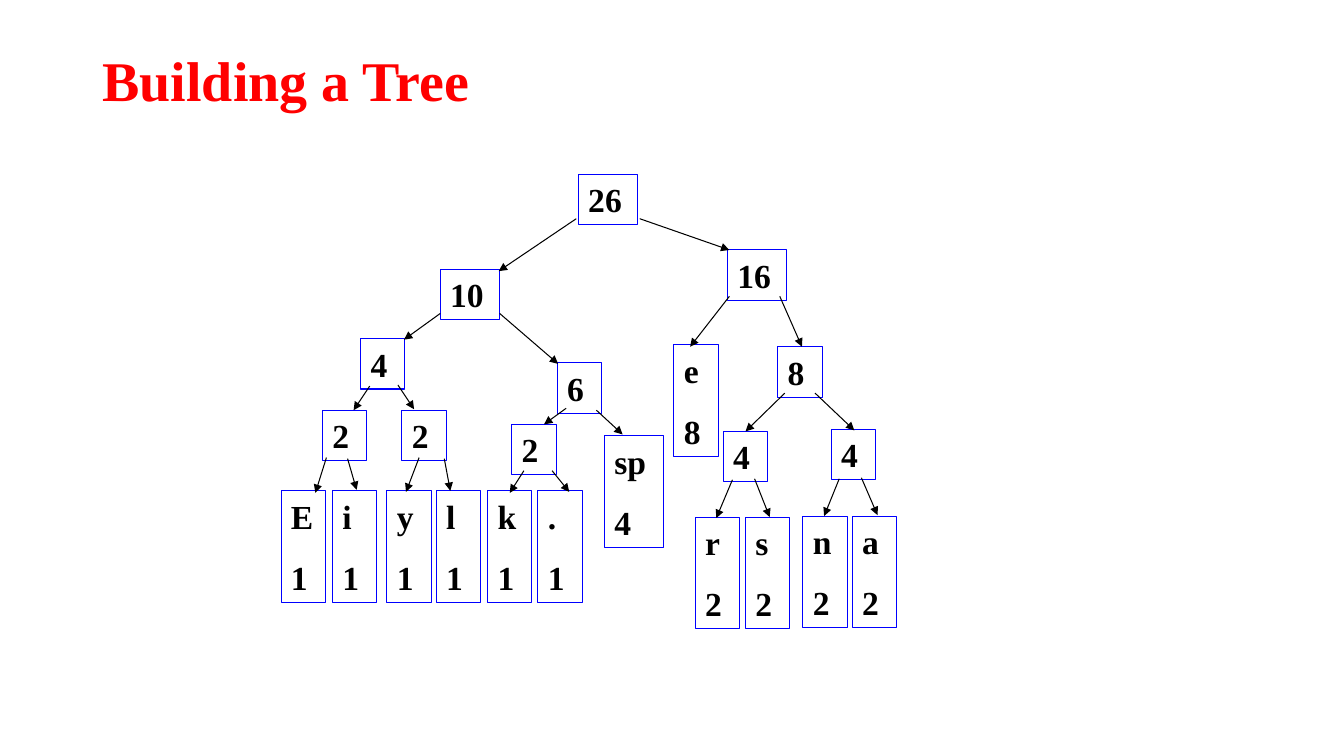
from lxml import etree
from pptx import Presentation
from pptx.dml.color import RGBColor
from pptx.enum.shapes import MSO_CONNECTOR, MSO_SHAPE
from pptx.enum.text import MSO_ANCHOR, MSO_AUTO_SIZE, PP_ALIGN
from pptx.oxml.ns import qn
from pptx.util import Pt

RECTANGLE, STRAIGHT = MSO_SHAPE.RECTANGLE, MSO_CONNECTOR.STRAIGHT
TOP, MIDDLE = MSO_ANCHOR.TOP, MSO_ANCHOR.MIDDLE
FIT_SHAPE, LEFT = MSO_AUTO_SIZE.SHAPE_TO_FIT_TEXT, PP_ALIGN.LEFT

TITLE = "Building a Tree"
# label, (left, top), arrow from parent: (start, end)
INNER_NODES = [
    ("26", (574, 173), None),
    ("10", (437, 267), ((572, 217), (495, 269))),
    ("16", (722, 248), ((635, 217), (724, 248))),
    ("4", (358, 336), ((437, 311), (401, 337))),
    ("6", (553, 360), ((496, 311), (554, 361))),
    ("8", (772, 344), ((774, 294), (796, 344))),
    ("2", (320, 407), ((367, 383), (351, 407))),
    ("2", (399, 407), ((395, 382), (411, 406))),
    ("2", (508, 421), ((562, 405), (540, 421))),
    ("4", (718, 428), ((779, 390), (740, 428))),
    ("4", (825, 426), ((809, 390), (848, 427))),
]
LEAVES = [
    ("E\n1", (279, 487), ((324, 454), (313, 489))),
    ("i\n1", (330, 487), ((345, 455), (354, 486))),
    ("y\n1", (384, 487), ((416, 454), (403, 488))),
    ("l\n1", (433, 487), ((441, 455), (447, 487))),
    ("k\n1", (484, 487), ((520, 467), (506, 489))),
    (".\n1", (534, 487), ((548, 467), (565, 488))),
    ("sp\n4", (600, 432), ((592, 407), (618, 431))),
    ("e\n8", (669, 342), ((724, 294), (685, 344))),
    ("r\n2", (690, 513), ((727, 476), (711, 514))),
    ("s\n2", (740, 513), ((749, 475), (764, 513))),
    ("n\n2", (797, 512), ((833, 475), (818, 512))),
    ("a\n2", (846, 512), ((855, 474), (871, 511))),
]

THEME = {
    "font": "Times New Roman",
    "title_color": RGBColor(255, 0, 0),
    "ink": RGBColor(0, 0, 0),
    "border": RGBColor(0, 0, 255),
    "title_size": Pt(40),
    "node_size": Pt(24),
    "line_gap": Pt(15),
    "stroke": Pt(0.75),
}
EMU_PER_PX = 9144  # 100 px to the inch
INNER_HEIGHT, LEAF_HEIGHT = 50, 111
NARROW, WIDE = 44, 59


def px(*lengths):
    return [length * EMU_PER_PX for length in lengths]


def write(frame, text, size, color, anchor):
    frame.text = text
    frame.word_wrap = True
    frame.vertical_anchor = anchor
    frame.margin_left, frame.margin_right, frame.margin_top, frame.margin_bottom = px(10, 10, 5, 5)
    for index, paragraph in enumerate(frame.paragraphs):
        paragraph.alignment = LEFT
        if index:
            paragraph.space_before = THEME["line_gap"]
        font = paragraph.font
        font.name, font.size, font.bold = THEME["font"], size, True
        font.color.rgb = color


def add_arrow(shapes, start, end):
    arrow = shapes.add_connector(STRAIGHT, *px(*start, *end))
    arrow.line.color.rgb = THEME["ink"]
    arrow.line.width = THEME["stroke"]
    etree.SubElement(arrow.line._get_or_add_ln(), qn("a:tailEnd"), type="triangle")
    etree.SubElement(arrow._element.spPr, qn("a:effectLst"))


def add_node(shapes, label, corner, height):
    width = WIDE if len(label.split("\n")[0]) > 1 else NARROW
    node = shapes.add_shape(RECTANGLE, *px(*corner, width, height))
    node.shadow.inherit = False
    node.fill.background()
    node.line.color.rgb = THEME["border"]
    node.line.width = THEME["stroke"]
    write(node.text_frame, label, THEME["node_size"], THEME["ink"], TOP)
    node.text_frame.auto_size = FIT_SHAPE


def main():
    deck = Presentation()
    deck.slide_width, deck.slide_height = px(1334, 750)
    slide = deck.slides.add_slide(deck.slide_layouts[6])

    title = slide.shapes.add_textbox(*px(92, 40, 1150, 77))
    write(title.text_frame, TITLE, THEME["title_size"], THEME["title_color"], MIDDLE)

    tree = slide.shapes.add_group_shape().shapes
    for nodes, height in ((INNER_NODES, INNER_HEIGHT), (LEAVES, LEAF_HEIGHT)):
        for label, corner, arrow in nodes:
            add_node(tree, label, corner, height)
            if arrow:
                add_arrow(tree, *arrow)

    deck.save("out.pptx")


if __name__ == "__main__":
    main()
